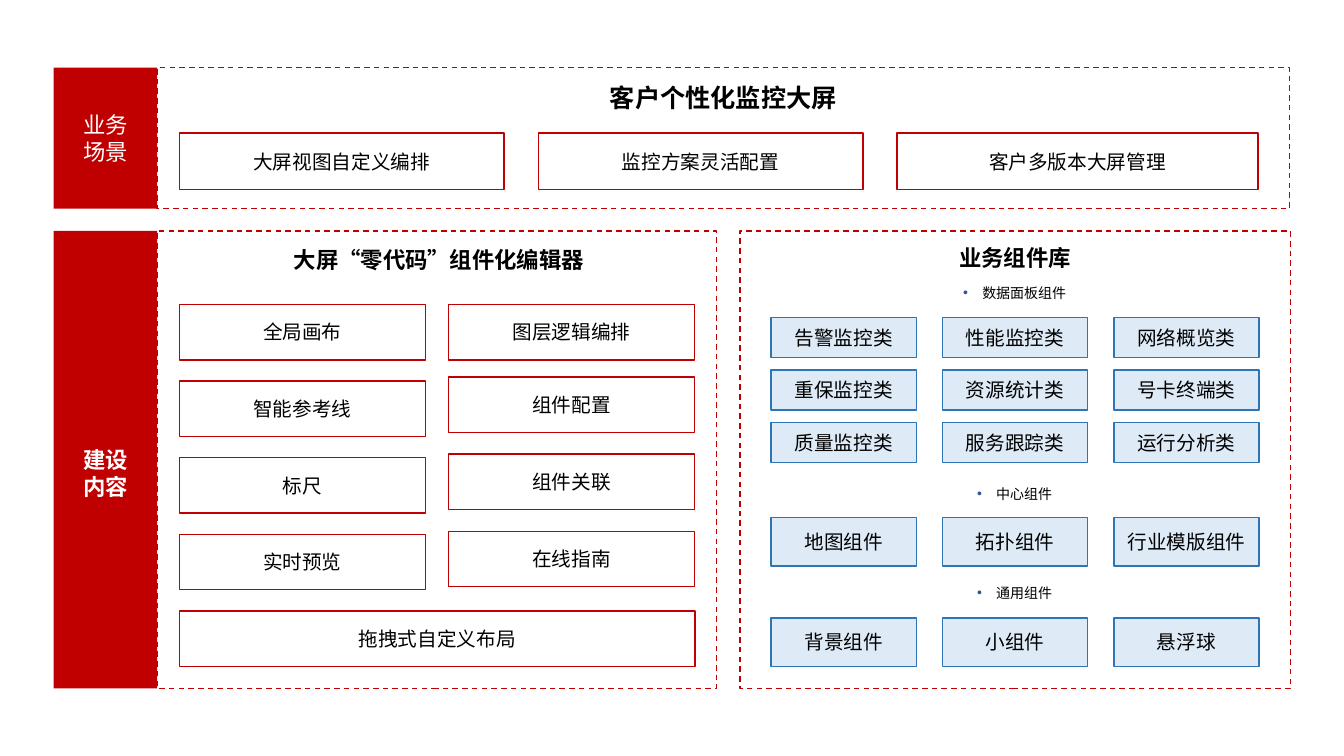
from dataclasses import dataclass

from lxml import etree
from pptx import Presentation, util as u
from pptx.dml.color import RGBColor
from pptx.enum import dml, lang, shapes, text
from pptx.oxml.ns import qn


@dataclass(frozen=True)
class Theme:
    font: str = "Noto Sans CJK SC"
    red: str = "C00000"
    white: str = "FFFFFF"
    black: str = "000000"
    pale_blue: str = "DEEBF7"
    blue: str = "2E75B6"
    bullet: str = "2F5597"
    main_title: int = 18
    title: int = 16
    body: int = 14
    caption: int = 10
    line: int = 1


class Board:
    """A slide on a grid of 40 columns and 30 rows; places are (left, top, width, height)."""

    COLUMNS, ROWS = 40, 30

    def __init__(self, presentation, theme):
        self.theme = theme
        self.column = presentation.slide_width / self.COLUMNS
        self.row = presentation.slide_height / self.ROWS
        self.slide = presentation.slides.add_slide(presentation.slide_layouts[6])

    def place(self, left, top, width, height):
        return (round(left * self.column), round(top * self.row),
                round(width * self.column), round(height * self.row))

    def set_words(self, shape, words, size, color, bold=False):
        frame = shape.text_frame
        frame.word_wrap = True
        frame.text = words
        for paragraph in frame.paragraphs:
            paragraph.alignment = text.PP_ALIGN.CENTER
            for run in paragraph.runs:
                font = run.font
                font.name, font.size, font.bold = self.theme.font, u.Pt(size), bold
                font.color.rgb = RGBColor.from_string(color)
                font.language_id = lang.MSO_LANGUAGE_ID.SIMPLIFIED_CHINESE
                east_asian = etree.Element(qn("a:ea"), typeface=self.theme.font)
                run._r.rPr.find(qn("a:latin")).addnext(east_asian)
        return frame

    def rectangle(self, place, fill=None, line=None):
        shape = self.slide.shapes.add_shape(
            shapes.MSO_SHAPE.RECTANGLE, *self.place(*place))
        shape.shadow.inherit = False
        if fill:
            shape.fill.solid()
            shape.fill.fore_color.rgb = RGBColor.from_string(fill)
        else:
            shape.fill.background()
        if line:
            shape.line.color.rgb = RGBColor.from_string(line)
            shape.line.width = u.Pt(self.theme.line)
        else:
            shape.line.fill.background()
        return shape

    def panel(self, place):
        shape = self.rectangle(place, line=self.theme.red)
        shape.line.dash_style = dml.MSO_LINE.DASH

    def side_label(self, place, words, bold=False, top_inset=0.05):
        shape = self.rectangle(place, fill=self.theme.red)
        frame = self.set_words(shape, words, self.theme.title, self.theme.white, bold)
        frame.vertical_anchor = text.MSO_ANCHOR.MIDDLE
        frame.margin_top = u.Inches(top_inset)

    def box(self, place, words, fill=None, line=None):
        shape = self.rectangle(place, fill, line or self.theme.red)
        frame = self.set_words(shape, words, self.theme.body, self.theme.black)
        frame.vertical_anchor = text.MSO_ANCHOR.MIDDLE
        frame.margin_left = frame.margin_right = u.Inches(0.06)
        frame.margin_top = frame.margin_bottom = u.Inches(0.03)

    def heading(self, place, words, size, bold=True):
        shape = self.slide.shapes.add_textbox(*self.place(*place))
        return self.set_words(shape, words, size, self.theme.black, bold)

    def bullet_caption(self, place, words):
        frame = self.heading(place, words, self.theme.caption, bold=False)
        properties = frame.paragraphs[0]._p.get_or_add_pPr()
        indent = u.Inches(0.19)
        properties.set("marL", str(indent))
        properties.set("indent", str(-indent))
        color = etree.SubElement(properties, qn("a:buClr"))
        etree.SubElement(color, qn("a:srgbClr"), val=self.theme.bullet)
        etree.SubElement(properties, qn("a:buFont"), typeface="Arial")
        etree.SubElement(properties, qn("a:buChar"), char="•")


LABEL_LEFT, LABEL_WIDTH = 1.6, 3.08
CONTENT_LEFT = LABEL_LEFT + LABEL_WIDTH
BOX_LEFT = 5.34
SCENARIO_TOP, SCENARIO_HEIGHT = 2.68, 5.6
BUILD_TOP, BUILD_HEIGHT = 9.16, 18.16


def draw_scenario(board):
    theme = board.theme
    board.panel((CONTENT_LEFT, SCENARIO_TOP, 33.7, SCENARIO_HEIGHT))
    board.heading((12.45, 3.08, 18.15, 1.6), "客户个性化监控大屏", theme.main_title)
    scenarios = (("大屏视图自定义编排", 9.66), ("监控方案灵活配置", 9.66),
                 ("客户多版本大屏管理", 10.74))
    for index, (words, width) in enumerate(scenarios):
        board.box((BOX_LEFT + index * 10.68, 5.28, width, 2.24), words, theme.white)
    board.side_label((LABEL_LEFT, SCENARIO_TOP, LABEL_WIDTH, SCENARIO_HEIGHT), "业务\n场景")


def draw_editor(board):
    board.panel((CONTENT_LEFT, BUILD_TOP, 16.65, BUILD_HEIGHT))
    board.heading((4.47, 9.56, 17.19, 1.48), "大屏“零代码”组件化编辑器", board.theme.title)
    features = (
        (("全局画布", 12.08), ("智能参考线", 15.12), ("标尺", 18.16), ("实时预览", 21.2)),
        (("图层逻辑编排", 12.08), ("组件配置", 14.96), ("组件关联", 18.02), ("在线指南", 21.08)),
    )
    for index, column in enumerate(features):
        for words, top in column:
            board.box((BOX_LEFT + index * 8.01, top, 7.32, 2.2), words)
    board.box((BOX_LEFT, 24.24, 15.35, 2.2), "拖拽式自定义布局")
    board.side_label((LABEL_LEFT, BUILD_TOP, LABEL_WIDTH, BUILD_HEIGHT), "建设\n内容",
                     bold=True, top_inset=0.32)


def draw_library(board):
    theme = board.theme
    board.panel((22.02, BUILD_TOP, 16.38, BUILD_HEIGHT))
    board.heading((22.02, 9.48, 16.38, 1.48), "业务组件库", theme.title)
    groups = (
        ("数据面板组件", 11.08, 12.6, 1.6, (
            ("告警监控类", "性能监控类", "网络概览类"),
            ("重保监控类", "资源统计类", "号卡终端类"),
            ("质量监控类", "服务跟踪类", "运行分析类"))),
        ("中心组件", 19.08, 20.54, 1.92, (("地图组件", "拓扑组件", "行业模版组件"),)),
        ("通用组件", 23, 24.52, 1.92, (("背景组件", "小组件", "悬浮球"),)),
    )
    for caption, caption_top, top, height, rows in groups:
        board.bullet_caption((26.13, caption_top, 8.13, 1.08), caption)
        for row, names in enumerate(rows):
            for column, name in enumerate(names):
                place = (22.95 + column * 5.1, top + row * 2.08, 4.32, height)
                board.box(place, name, theme.pale_blue, theme.blue)


def main():
    presentation = Presentation()
    presentation.slide_width = u.Inches(13.33)
    presentation.slide_height = u.Inches(7.5)
    board = Board(presentation, Theme())
    draw_scenario(board)
    draw_editor(board)
    draw_library(board)
    presentation.save("out.pptx")


if __name__ == "__main__":
    main()
